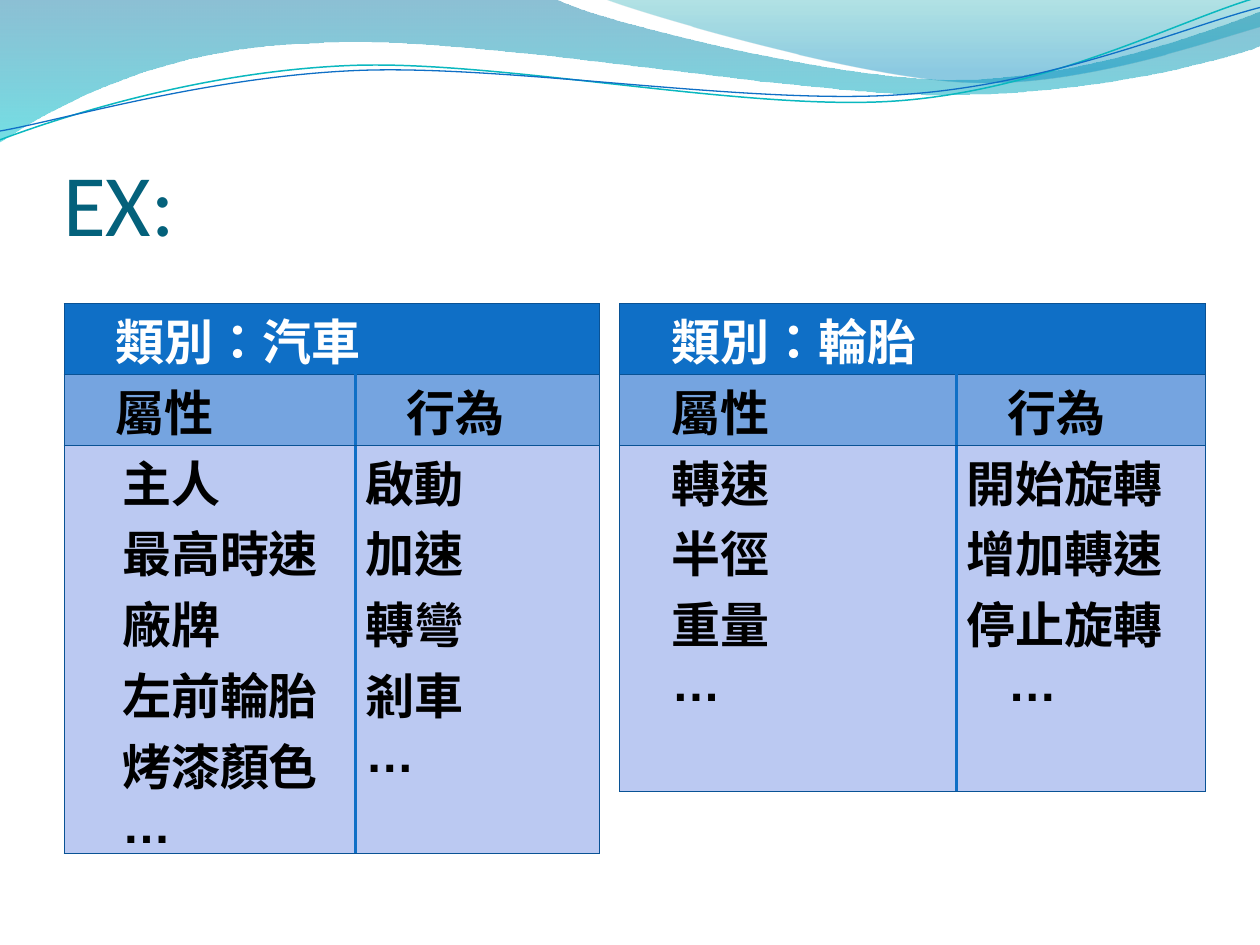
import math

from lxml import etree
from pptx import Presentation
from pptx.dml.color import RGBColor
from pptx.enum.text import MSO_ANCHOR, PP_ALIGN
from pptx.oxml.ns import qn
from pptx.util import Inches, Pt

LEFT = PP_ALIGN.LEFT
BOTTOM = MSO_ANCHOR.BOTTOM
BLUE, EDGE, HEAD, BODY = "0F6FC6", "095295", "75A4E0", "BBC9F2"
INDENT = 0.33
TILT = -2.7

BROAD_WAVE = [
    [(0, 0)],
    [(4.4, -0.01)],
    [(4.76, 0.17), (6.64, 0.63), (7.58, 0.63)],
    [(8.53, 0.63), (9.58, 0.26), (10, 0.09)],
    [(10.01, 0.36)],
    [(9.83, 0.44), (8.7, 0.76), (7.46, 0.75)],
    [(6.22, 0.75), (3.82, 0.28), (2.57, 0.34)],
    [(1.29, 0.36), (0.46, 0.83), (-0.01, 1.13)],
    [(0, 0)],
]
RIGHT_WAVE = [
    [(4.79, -0.01)],
    [(5.09, 0.11), (6.82, 0.62), (7.69, 0.65)],
    [(8.56, 0.69), (9.61, 0.32), (10, 0.21)],
    [(10, 0)],
    [(4.79, -0.01)],
]
TEAL_LINE = [
    [(0, 1.11)],
    [(0.48, 0.93), (1.58, 0.57), (2.77, 0.52)],
    [(3.95, 0.47), (5.93, 0.89), (7.13, 0.8)],
    [(8.33, 0.71), (9.38, 0.15), (9.98, -0.02)],
]
BLUE_LINE = [
    [(0, 1.04)],
    [(0.47, 0.96), (1.64, 0.61), (2.83, 0.56)],
    [(4.03, 0.51), (5.97, 0.84), (7.17, 0.75)],
    [(8.36, 0.67), (9.41, 0.21), (10, 0.06)],
]


def rgb(color):
    return RGBColor.from_string(color)


def turn(point, center, degrees):
    a = math.radians(degrees)
    x, y = point[0] - center[0], point[1] - center[1]
    return (center[0] + x * math.cos(a) - y * math.sin(a),
            center[1] + x * math.sin(a) + y * math.cos(a))


def add_path(s, segments, closed):
    points = [(Inches(x), Inches(y)) for seg in segments for x, y in seg]
    builder = s.shapes.build_freeform(*points[0])
    builder.add_line_segments(points[1:], close=closed)
    sp = builder.convert_to_shape()
    sp.shadow.inherit = False
    lines = iter(sp._element.xpath(".//a:path/a:lnTo"))
    for seg in segments[1:]:
        parts = [next(lines) for _ in seg]
        if len(parts) == 3:
            curve = etree.Element(qn("a:cubicBezTo"))
            parts[0].addprevious(curve)
            for part in parts:
                curve.append(part[0])
                part.getparent().remove(part)
    return sp


def add_wave(s, segments, stops):
    sp = add_path(s, segments, True)
    sp.line.fill.background()
    sp.fill.gradient()
    sp.fill.gradient_angle = 270
    for stop, (position, color, _) in zip(sp.fill.gradient_stops, stops):
        stop.position = position
        stop.color.rgb = rgb(color)
    colors = sp._element.xpath(".//a:gradFill//a:srgbClr")
    for clr, (_, _, alpha) in zip(colors, stops):
        etree.SubElement(clr, qn("a:alpha")).set("val", str(alpha * 1000))


def add_curve(s, segments, center, color, width):
    level = [[turn(point, center, -TILT) for point in seg] for seg in segments]
    sp = add_path(s, level, False)
    sp.rotation = TILT
    sp.fill.background()
    sp.line.color.rgb = rgb(color)
    sp.line.width = Pt(width)


def add_title(s, text, left, top, width, height):
    sp = s.shapes.title
    sp.left, sp.top = Inches(left), Inches(top)
    sp.width, sp.height = Inches(width), Inches(height)
    tf = sp.text_frame
    tf.vertical_anchor = BOTTOM
    tf.margin_left = tf.margin_right = tf.margin_bottom = 0
    tf.margin_top = Inches(0.05)
    p = tf.paragraphs[0]
    p.alignment = LEFT
    r = p.add_run()
    r.text = text
    r.font.size = Pt(50)
    r.font.name = "Calibri"
    r.font.color.rgb = rgb("04617B")


def set_borders(cell, **borders):
    tcPr = cell._tc.get_or_add_tcPr()
    for side in "LRTB":
        color, width = borders.get(side, (EDGE, 0.75))
        ln = etree.SubElement(tcPr, qn("a:ln" + side), w=str(Pt(width)))
        fill = etree.SubElement(ln, qn("a:solidFill"))
        etree.SubElement(fill, qn("a:srgbClr"), val=color)


def fill_cell(cell, lines, fill, color="000000", margin=0.08):
    cell.fill.solid()
    cell.fill.fore_color.rgb = rgb(fill)
    cell.margin_left = cell.margin_right = Inches(margin)
    cell.margin_top = cell.margin_bottom = 0
    tf = cell.text_frame
    for i, (text, indent) in enumerate(lines):
        p = tf.add_paragraph() if i else tf.paragraphs[0]
        pPr = p._p.get_or_add_pPr()
        pPr.set("marL", str(Inches(indent)))
        pPr.set("indent", "0")
        r = p.add_run()
        r.text = text
        r.font.size = Pt(28)
        r.font.name = "Arial"
        r.font.bold = True
        r.font.color.rgb = rgb(color)
        r._r.get_or_add_rPr().set("lang", "zh-TW")


def add_class_table(s, left, top, cols, rows, name, attributes, actions,
                    margin=0.08):
    frame = s.shapes.add_table(3, 2, Inches(left), Inches(top),
                               Inches(sum(cols)), Inches(sum(rows)))
    table = frame.table
    for column, width in zip(table.columns, cols):
        column.width = Inches(width)
    for row, height in zip(table.rows, rows):
        row.height = Inches(height)
    table.cell(0, 0).merge(table.cell(0, 1))
    divider = (BLUE, 2)
    for i in range(3):
        set_borders(table.cell(i, 0), **({"R": divider} if i else {}))
        set_borders(table.cell(i, 1), **({"L": divider} if i else {}))
    fill_cell(table.cell(0, 0), [(name, INDENT)], BLUE, "FFFFFF")
    for i, text in enumerate(("屬性", "行為")):
        fill_cell(table.cell(1, i), [(text, INDENT)], HEAD)
    fill_cell(table.cell(2, 0), [(a, INDENT) for a in attributes], BODY,
              margin=margin)
    fill_cell(table.cell(2, 1), actions, BODY)


def main():
    prs = Presentation()
    prs.slide_width, prs.slide_height = Inches(10), Inches(7.5)
    s = prs.slides.add_slide(prs.slide_layouts[5])
    add_wave(s, BROAD_WAVE, [(0, "0074A1", 45), (1, "00C6CF", 55)])
    add_wave(s, RIGHT_WAVE, [(0, "00A1A9", 30), (0.8, "008BBF", 45)])
    add_curve(s, TEAL_LINE, (4.99, 0.57), "0AB8BF", 0.85)
    add_curve(s, BLUE_LINE, (5, 0.59), BLUE, 0.75)
    add_title(s, "EX:", 0.5, 0.77, 9, 1.25)
    add_class_table(
        s, 0.51, 2.41, (2.31, 1.94), (0.39, 0.39, 2.76), "類別：汽車",
        ["主人", "最高時速廠牌", "左前輪胎烤漆顏色", "…"],
        [(a, 0) for a in ("啟動", "加速", "轉彎", "剎車", "…")], margin=0.13)
    add_class_table(
        s, 4.92, 2.41, (2.67, 1.98), (0.47, 0.47, 2.75), "類別：輪胎",
        ["轉速", "半徑", "重量", "…"],
        [("開始旋轉", 0), ("增加轉速", 0), ("停止旋轉", 0), ("…", INDENT)])
    prs.save("out.pptx")


if __name__ == "__main__":
    main()
